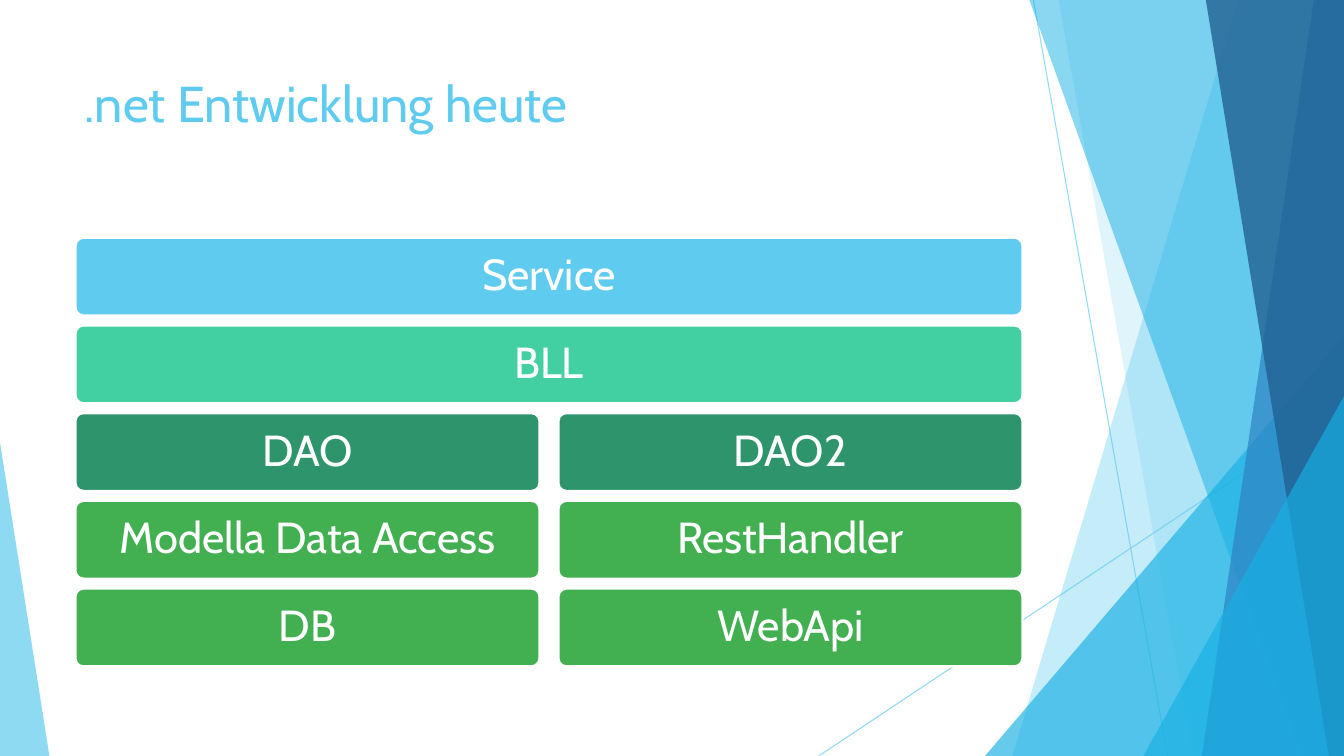
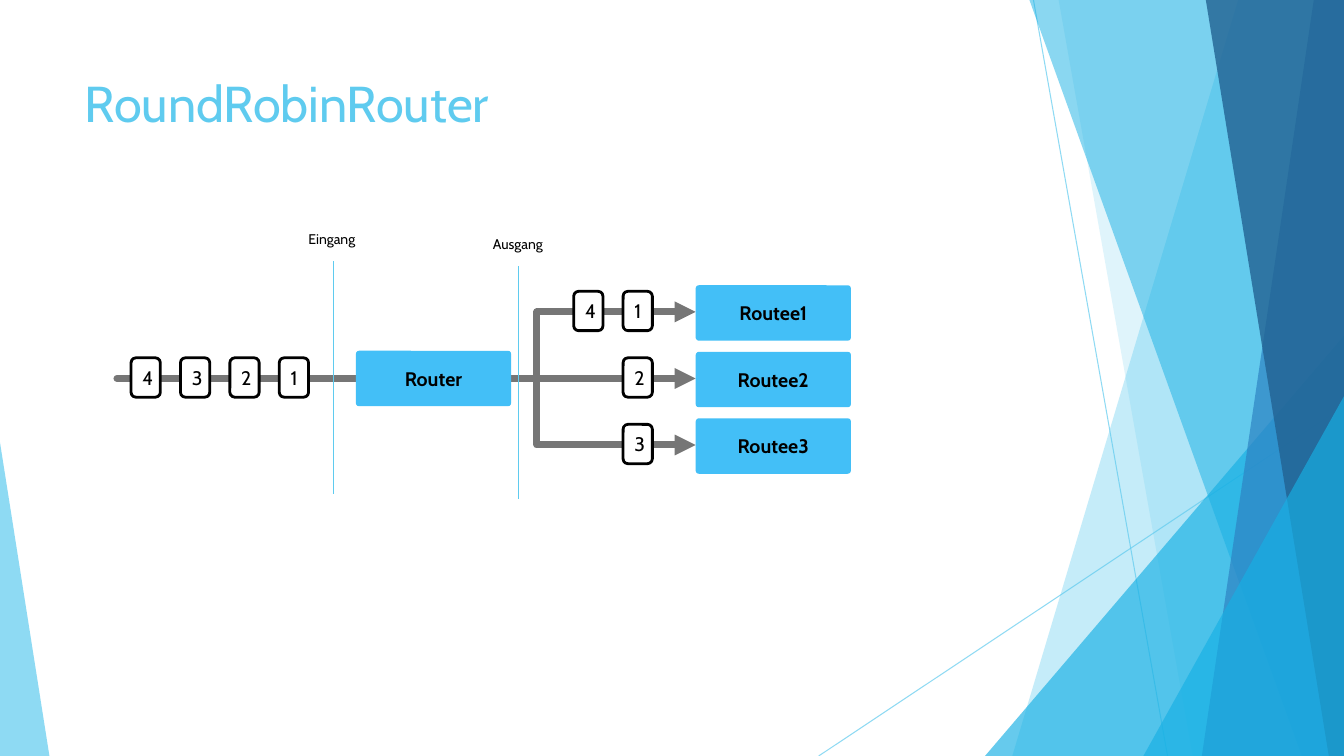
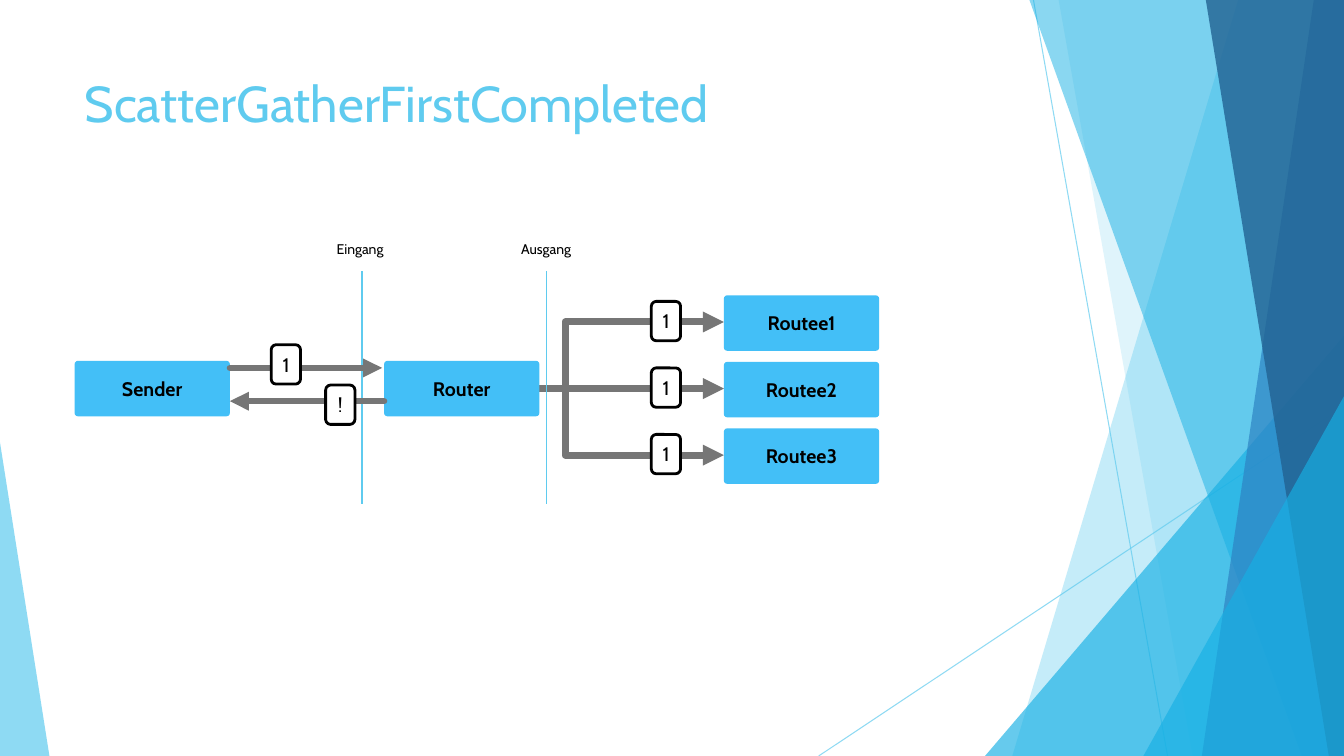
"""Build three slides on layered architecture and message routers."""
import lxml.etree
import pptx
import pptx.dml.color
import pptx.enum.shapes
import pptx.enum.text
import pptx.oxml.ns
import pptx.util

Inches, Pt = pptx.util.Inches, pptx.util.Pt
qn = pptx.oxml.ns.qn
SHAPE = pptx.enum.shapes.MSO_SHAPE
CONNECTOR = pptx.enum.shapes.MSO_CONNECTOR
ALIGN = pptx.enum.text.PP_ALIGN
ANCHOR = pptx.enum.text.MSO_ANCHOR

WIDTH, HEIGHT = 13.33, 7.5
FONT = "Cabin"
SKY, CYAN, BLUE, NAVY = "5FCBEF", "17B0E4", "2E83C3", "226292"
NODE, GREY, BLACK, WHITE = "43BFF7", "767676", "000000", "FFFFFF"

TITLE_AREA = (0.74, 0.67, 9.4, 1.44)
RAYS = [((10.25, 0), (11.58, HEIGHT)), ((WIDTH, 4.03), (8.12, HEIGHT))]
FACETS = [
    ("band", (12.28, 10.04), SKY, 36),
    ("band", (10.5, 11.83), SKY, 20),
    ("corner", (9.77, 3.33, 3.56, 1), CYAN, 66),
    ("band", (10.21, 12.91), CYAN, 50),
    ("band", (13.03, 11.92), BLUE, 70),
    ("band", (11.96, 13.18), NAVY, 80),
    ("corner", (11.34, 3.93, 1.99, 1), CYAN, 66),
    ("corner", (0, 4.39, 0.49, 0), SKY, 70),
]

LAYERS_TITLE = ".net Entwicklung heute"
LAYERS = [
    (["Service"], SKY),
    (["BLL"], "42D0A2"),
    (["DAO", "DAO2"], "2E946B"),
    (["Modella Data Access", "RestHandler"], "42B051"),
    (["DB", "WebApi"], "42B051"),
]
LAYER_LEFT, LAYER_TOP, LAYER_WIDTH, LAYER_HEIGHT = 0.75, 2.36, 9.39, 0.77
LAYER_PITCH, LAYER_GAP = 0.87, 0.19

ROBIN = {
    "title": "RoundRobinRouter",
    "router": (3.53, 3.48),
    "queues": [["1", "4"], ["2"], ["3"]],
    "exit_drop": 0.05,
}
ROBIN_INBOX = ["4", "3", "2", "1"]
SCATTER = {
    "title": "ScatterGatherFirstCompleted",
    "router": (3.81, 3.58),
    "queues": [["1"], ["1"], ["1"]],
    "exit_drop": 0,
}
SCATTER_ARROWS = [((3.81, 3.98), (2.28, 3.98)), ((2.28, 3.65), (3.79, 3.65))]
SCATTER_MESSAGES = [("1", 2.69, 3.42), ("!", 3.23, 3.82)]

NODE_WIDTH, NODE_HEIGHT = 1.54, 0.55
MESSAGE_WIDTH, MESSAGE_HEIGHT = 0.29, 0.39
ROUTEE_OFFSET, ROW_PITCH, QUEUE_STEP = 3.37, 0.66, 0.49
MARKER_LENGTH = 2.31


def colour(value):
    return pptx.dml.color.RGBColor.from_string(value)


def inches(values):
    return [Inches(value) for value in values]


def set_alpha(shape, percent):
    for node in shape.element.iter(qn("a:srgbClr")):
        lxml.etree.SubElement(node, qn("a:alpha"), val=str(percent * 1000))


def paint(shape, fill, line=None, weight=1):
    shape.shadow.inherit = False
    shape.fill.solid()
    shape.fill.fore_color.rgb = colour(fill)
    if line:
        shape.line.color.rgb = colour(line)
        shape.line.width = Pt(weight)
    else:
        shape.line.fill.background()


def write(shape, text, size, ink, bold=False, align=ALIGN.CENTER):
    shape.text_frame.text = text
    para = shape.text_frame.paragraphs[0]
    para.alignment = align
    para.font.name, para.font.size, para.font.bold = FONT, Pt(size), bold
    para.font.color.rgb = colour(ink)
    return para


def add_box(page, area, text, size, ink, fill, line=None, weight=1, corner=None, bold=False):
    box = page.shapes.add_shape(SHAPE.ROUNDED_RECTANGLE, *inches(area))
    if corner:
        box.adjustments[0] = corner
    paint(box, fill, line, weight)
    box.text_frame.vertical_anchor = ANCHOR.MIDDLE
    return box, write(box, text, size, ink, bold)


def add_node(page, text, left, top):
    area = (left, top, NODE_WIDTH, NODE_HEIGHT)
    add_box(page, area, text, 14, BLACK, NODE, corner=0.06, bold=True)


def add_message(page, text, left, top):
    area = (left, top, MESSAGE_WIDTH, MESSAGE_HEIGHT)
    add_box(page, area, text, 14, BLACK, WHITE, BLACK, 2)


def add_line(page, start, end, ink, weight, arrow=False, bend=None):
    kind = CONNECTOR.ELBOW if bend else CONNECTOR.STRAIGHT
    line = page.shapes.add_connector(kind, *inches(start + end))
    line.line.color.rgb = colour(ink)
    line.line.width = Pt(weight)
    properties = line.element.spPr
    stroke = properties.find(qn("a:ln"))
    if weight > 1:
        stroke.set("cap", "rnd")
        lxml.etree.SubElement(stroke, qn("a:round"))
    if arrow:
        lxml.etree.SubElement(stroke, qn("a:tailEnd"), type="triangle")
    if bend:
        guides = properties.find(qn("a:prstGeom")).get_or_add_avLst()
        lxml.etree.SubElement(guides, qn("a:gd"), name="adj1", fmla=f"val {round(bend * 100000)}")
    lxml.etree.SubElement(properties, qn("a:effectLst"))
    return line


def add_facet(page, kind, place, fill, alpha):
    if kind == "band":
        top_x, bottom_x = place
        outline = page.shapes.build_freeform(Inches(top_x), 0)
        corners = [(WIDTH, 0), (WIDTH, HEIGHT), (bottom_x, HEIGHT)]
        outline.add_line_segments([inches(corner) for corner in corners], close=True)
        facet = outline.convert_to_shape()
    else:
        left, top, width, apex = place
        area = inches((left, top, width, HEIGHT - top))
        facet = page.shapes.add_shape(SHAPE.ISOSCELES_TRIANGLE, *area)
        facet.adjustments[0] = apex
    paint(facet, fill)
    set_alpha(facet, alpha)
    return facet


def prepare_layout(layout, page):
    title = layout.placeholders[0]
    title.left, title.top, title.width, title.height = inches(TITLE_AREA)
    title.text_frame.vertical_anchor = ANCHOR.TOP
    decor = []
    for start, end in RAYS:
        decor.append(add_line(page, start, end, SKY, 0.75))
        set_alpha(decor[-1], 70)
    decor += [add_facet(page, *facet) for facet in FACETS]
    tree = layout.shapes.element
    for index, shape in enumerate(decor):
        tree.insert(2 + index, shape.element)
    for number, node in enumerate(tree.iter(qn("p:cNvPr")), 1):
        node.set("id", str(number))


def set_title(page, text):
    write(page.shapes.title, text, 36, SKY, align=ALIGN.LEFT)


def draw_layers(page):
    for row, (labels, fill) in enumerate(LAYERS):
        width = (LAYER_WIDTH - LAYER_GAP * (len(labels) - 1)) / len(labels)
        top = LAYER_TOP + row * LAYER_PITCH
        for column, label in enumerate(labels):
            left = LAYER_LEFT + column * (width + LAYER_GAP)
            area = (left, top, width, LAYER_HEIGHT)
            box, para = add_box(page, area, label, 31, WHITE, fill, WHITE, 1.5, 0.1)
            para.line_spacing = 0.9
            frame = box.text_frame
            frame.margin_left = frame.margin_right = Inches(0.13)
            frame.margin_top = frame.margin_bottom = Inches(0.13)


def add_marker(page, text, left, top, label_width):
    add_line(page, (left, top), (left, top + MARKER_LENGTH), SKY, 1)
    label = page.shapes.add_textbox(*inches((left - 0.35, top - 0.35, label_width, 0.27)))
    label.text_frame.word_wrap = False
    label.text_frame.auto_size = pptx.enum.text.MSO_AUTO_SIZE.SHAPE_TO_FIT_TEXT
    write(label, text, 10, BLACK, align=ALIGN.LEFT)


def draw_router(page, router, queues, exit_drop):
    left, top = router
    routee_left = left + ROUTEE_OFFSET
    start = (left + NODE_WIDTH, top + NODE_HEIGHT / 2)
    row_shifts = [(row - 1) * ROW_PITCH for row in range(len(queues))]
    for shift in row_shifts:
        end = (routee_left, start[1] + shift)
        add_line(page, start, end, GREY, 5, arrow=True, bend=0.14 if shift else None)
    for shift, queue in zip(row_shifts, queues):
        for place, message in enumerate(queue):
            add_message(page, message, left + 2.65 - place * QUEUE_STEP, top + 0.07 + shift)
    add_node(page, "Router", left, top)
    for number, shift in enumerate(row_shifts, 1):
        add_node(page, f"Routee{number}", routee_left, top + 0.01 + shift)
    add_marker(page, "Eingang", left - 0.22, top - 0.89, 0.69)
    add_marker(page, "Ausgang", left + 1.61, top - 0.89 + exit_drop, 0.71)
    if not exit_drop:
        return
    

def draw_robin(page):
    left, top = ROBIN["router"]
    centre = top + NODE_HEIGHT / 2
    add_line(page, (1.16, centre), (left, centre), GREY, 5)
    for place, message in enumerate(ROBIN_INBOX):
        add_message(page, message, 1.3 + place * QUEUE_STEP, top + 0.07)
    draw_router(page, ROBIN["router"], ROBIN["queues"], ROBIN["exit_drop"])


def draw_scatter(page):
    draw_router(page, SCATTER["router"], SCATTER["queues"], SCATTER["exit_drop"])
    add_node(page, "Sender", 0.74, SCATTER["router"][1])
    for start, end in SCATTER_ARROWS:
        add_line(page, start, end, GREY, 4.5, arrow=True)
    for message, left, top in SCATTER_MESSAGES:
        add_message(page, message, left, top)


def main():
    deck = pptx.Presentation()
    deck.slide_width, deck.slide_height = inches((WIDTH, HEIGHT))
    layout = deck.slide_layouts.get_by_name("Title Only")
    pages = [
        (LAYERS_TITLE, draw_layers),
        (ROBIN["title"], draw_robin),
        (SCATTER["title"], draw_scatter),
    ]
    for number, (title, draw) in enumerate(pages):
        page = deck.slides.add_slide(layout)
        if number == 0:
            prepare_layout(layout, page)
        set_title(page, title)
        draw(page)
    deck.save("out.pptx")


if __name__ == "__main__":
    main()
